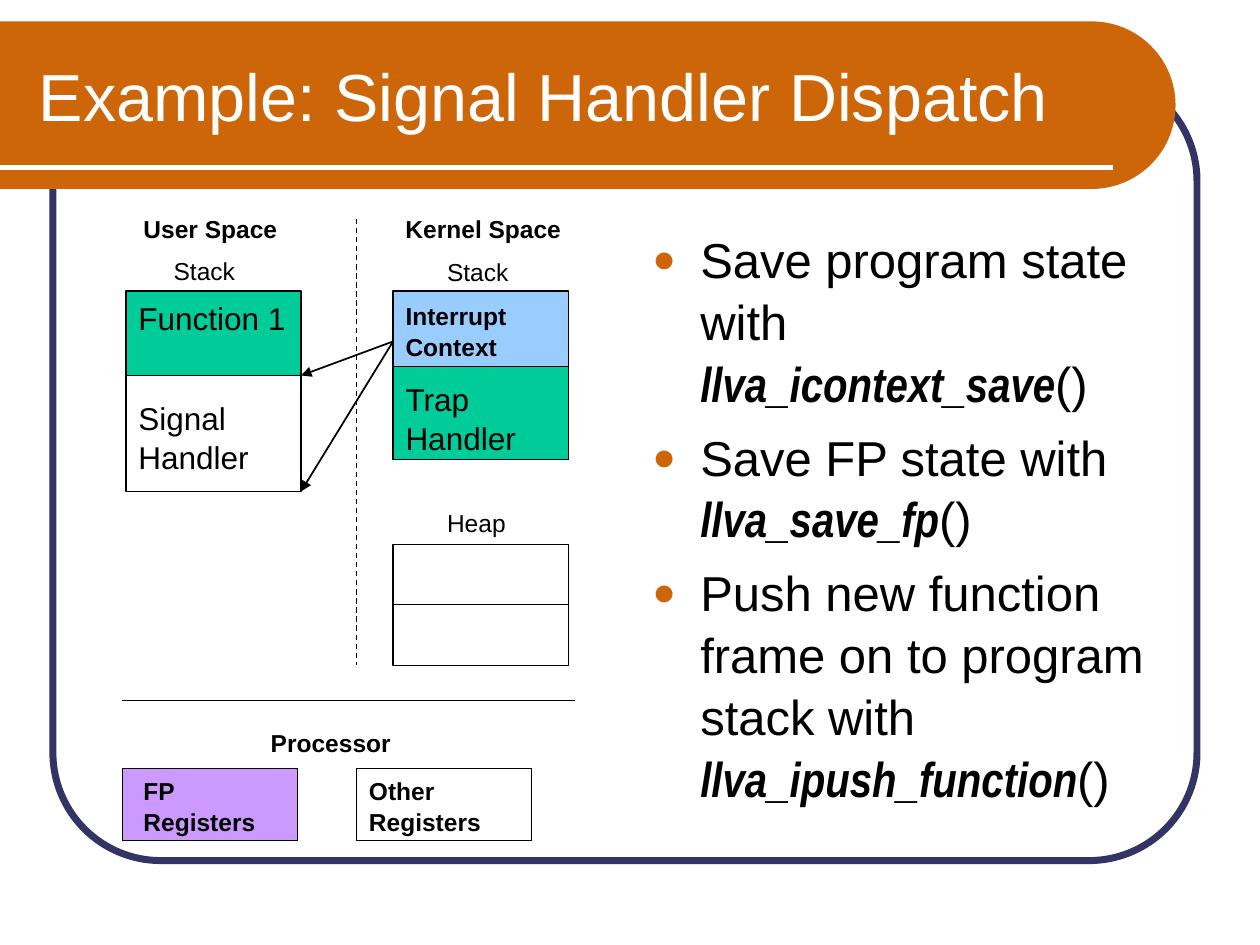
from lxml import etree
from pptx import Presentation
from pptx import util as u
from pptx.dml.color import RGBColor
from pptx.enum import dml, shapes, text
from pptx.oxml.ns import qn

Inches = u.Inches
COLORS = {
    "black": "000000", "white": "FFFFFF", "orange": "CC6608", "navy": "333366",
    "green": "00CC99", "blue": "99CCFF", "purple": "CC99FF",
}
LINE_SPACING = 1.05


def color(name):
    return RGBColor.from_string(COLORS[name])


def style_shape(shape, fill=None, line=None, width=0.75):
    shape.shadow.inherit = False
    if fill:
        shape.fill.solid()
        shape.fill.fore_color.rgb = color(fill)
    else:
        shape.fill.background()
    if line:
        shape.line.color.rgb = color(line)
        shape.line.width = u.Pt(width)
    else:
        shape.line.fill.background()


def add_box(slide, left, top, width, height, fill=None, line_width=0.75):
    shape = slide.shapes.add_shape(
        shapes.MSO_SHAPE.RECTANGLE,
        Inches(left), Inches(top), Inches(width), Inches(height))
    style_shape(shape, fill, "black", line_width)


def add_line(slide, start, end, line="black", width=0.75, dashed=False, arrow=False):
    connector = slide.shapes.add_connector(
        shapes.MSO_CONNECTOR.STRAIGHT,
        Inches(start[0]), Inches(start[1]), Inches(end[0]), Inches(end[1]))
    connector.line.color.rgb = color(line)
    connector.line.width = u.Pt(width)
    if dashed:
        connector.line.dash_style = dml.MSO_LINE.DASH
    if arrow:
        etree.SubElement(connector.line._get_or_add_ln(), qn("a:tailEnd"), type="triangle")
    etree.SubElement(connector._element.spPr, qn("a:effectLst"))


def add_run(paragraph, words, size, font="Arial", bold=False, italic=False, ink="black"):
    run = paragraph.add_run()
    run.text = words
    run.font.name = font
    run.font.size = u.Pt(size)
    run.font.bold = bold
    run.font.italic = italic
    run.font.color.rgb = color(ink)


def add_frame(slide, left, top, width, height):
    frame = slide.shapes.add_textbox(
        Inches(left), Inches(top), Inches(width), Inches(height)).text_frame
    frame.word_wrap = True
    return frame


def add_label(slide, left, top, width, height, *lines, size=14, bold=False):
    frame = add_frame(slide, left, top, width, height)
    for index, line in enumerate(lines):
        paragraph = frame.add_paragraph() if index else frame.paragraphs[0]
        paragraph.line_spacing = LINE_SPACING
        add_run(paragraph, line, size, bold=bold)


def add_bullet(paragraph):
    properties = paragraph._p.get_or_add_pPr()
    properties.set("marL", str(Inches(0.38)))
    properties.set("indent", str(-Inches(0.38)))
    bullet_color = etree.SubElement(properties, qn("a:buClr"))
    etree.SubElement(bullet_color, qn("a:srgbClr"), val=COLORS["orange"])
    etree.SubElement(properties, qn("a:buSzPct"), val="80000")
    etree.SubElement(properties, qn("a:buFont"), typeface="Arial")
    etree.SubElement(properties, qn("a:buChar"), char="●")


def add_background(slide, left, top, width, height):
    # Rounded page border
    border = slide.shapes.add_shape(
        shapes.MSO_SHAPE.ROUNDED_RECTANGLE,
        Inches(left), Inches(top), Inches(width), Inches(height))
    border.adjustments[0] = 0.137
    style_shape(border, line="navy", width=4)


def add_banner(slide, left, top, width, height, title):
    # Band with a half-round right end
    band = slide.shapes.add_shape(
        shapes.MSO_SHAPE.ROUND_2_SAME_RECTANGLE,
        Inches(left + (width - height) / 2), Inches(top - (width - height) / 2),
        Inches(height), Inches(width))
    band.rotation = 90
    band.adjustments[0] = 0.5
    style_shape(band, "orange")
    add_line(slide, (left, top + 1.16), (left + width - 0.5, top + 1.16), "white", 3)

    # Title
    frame = add_frame(slide, left + 0.21, top + 0.08, 8.77, 1)
    frame.vertical_anchor = text.MSO_ANCHOR.MIDDLE
    add_run(frame.paragraphs[0], title, 38, ink="white")


def add_user_space(slide, left, top, width):
    add_label(slide, left + 0.04, top, 1.31, 0.34, "User Space", bold=True)
    add_label(slide, left + 0.28, top + 0.33, 0.77, 0.34, "Stack")
    add_box(slide, left, top + 0.67, width, 0.67, "green", 1)
    add_label(slide, left, top + 0.67, width, 0.4, "Function 1", size=18)
    add_box(slide, left, top + 1.34, width, 0.92)
    add_label(slide, left, top + 1.46, 1.08, 0.7, "Signal", "Handler", size=18)


def add_kernel_space(slide, left, top, width):
    # Stack
    add_label(slide, left, top, 1.44, 0.34, "Kernel Space", bold=True)
    add_label(slide, left + 0.33, top + 0.34, 0.77, 0.34, "Stack")
    add_box(slide, left, top + 0.67, width, 0.6, "blue")
    add_label(slide, left, top + 0.69, width, 0.57, "Interrupt Context", bold=True)
    add_box(slide, left, top + 1.27, width, 0.74, "green")
    add_label(slide, left, top + 1.31, width, 0.7, "Trap Handler", size=18)

    # Heap
    add_label(slide, left + 0.33, top + 2.33, 0.77, 0.34, "Heap")
    for row in range(2):
        add_box(slide, left, top + 2.68 + 0.48 * row, width, 0.48)


def add_processor(slide, left, top, width):
    add_line(slide, (left, top), (left + 3.59, top))
    add_label(slide, left + 1.08, top + 0.16, 1.31, 0.34, "Processor", bold=True)
    registers = [("FP Registers", 0, "purple", 0.07, 1.28),
                 ("Other Registers", 1.86, None, 0, 1.42)]
    for name, offset, fill, indent, label_width in registers:
        add_box(slide, left + offset, top + 0.54, width, 0.57, fill)
        add_label(slide, left + offset + indent, top + 0.54, label_width, 0.57,
                  name, bold=True)


def add_diagram(slide, left, top):
    box_width = 1.39
    user_left, kernel_left = left + 0.03, left + 2.15
    add_user_space(slide, user_left, top, box_width)
    add_kernel_space(slide, kernel_left, top, box_width)
    add_line(slide, (left + 1.86, top + 0.1), (left + 1.86, top + 3.64), dashed=True)

    # Interrupt context points to both ends of the signal handler frame
    for target in (1.34, 2.26):
        add_line(slide, (kernel_left, top + 1.07), (user_left + box_width, top + target),
                 width=1, arrow=True)
    add_processor(slide, left, top + 3.92, box_width)


def add_steps(slide, left, top, width, height, steps):
    frame = add_frame(slide, left, top, width, height)
    for index, (description, function) in enumerate(steps):
        paragraph = frame.add_paragraph() if index else frame.paragraphs[0]
        paragraph.line_spacing = LINE_SPACING
        paragraph.space_before = u.Pt(7)
        add_bullet(paragraph)
        add_run(paragraph, description + " ", 28)
        add_run(paragraph, function, 28, "Arial Narrow", bold=True, italic=True)
        add_run(paragraph, "()", 28)


def main():
    presentation = Presentation()
    presentation.slide_width, presentation.slide_height = Inches(10), Inches(7.5)
    slide = presentation.slides.add_slide(presentation.slide_layouts[6])
    add_background(slide, 0.42, 0.58, 9.08, 6.25)
    add_banner(slide, 0, 0.17, 9.33, 1.33, "Example: Signal Handler Dispatch")
    add_diagram(slide, 0.97, 1.64)
    add_steps(slide, 5.08, 1.75, 4.25, 4.83, [
        ("Save program state with", "llva_icontext_save"),
        ("Save FP state with", "llva_save_fp"),
        ("Push new function frame on to program stack with", "llva_ipush_function"),
    ])
    presentation.save("out.pptx")


if __name__ == "__main__":
    main()
